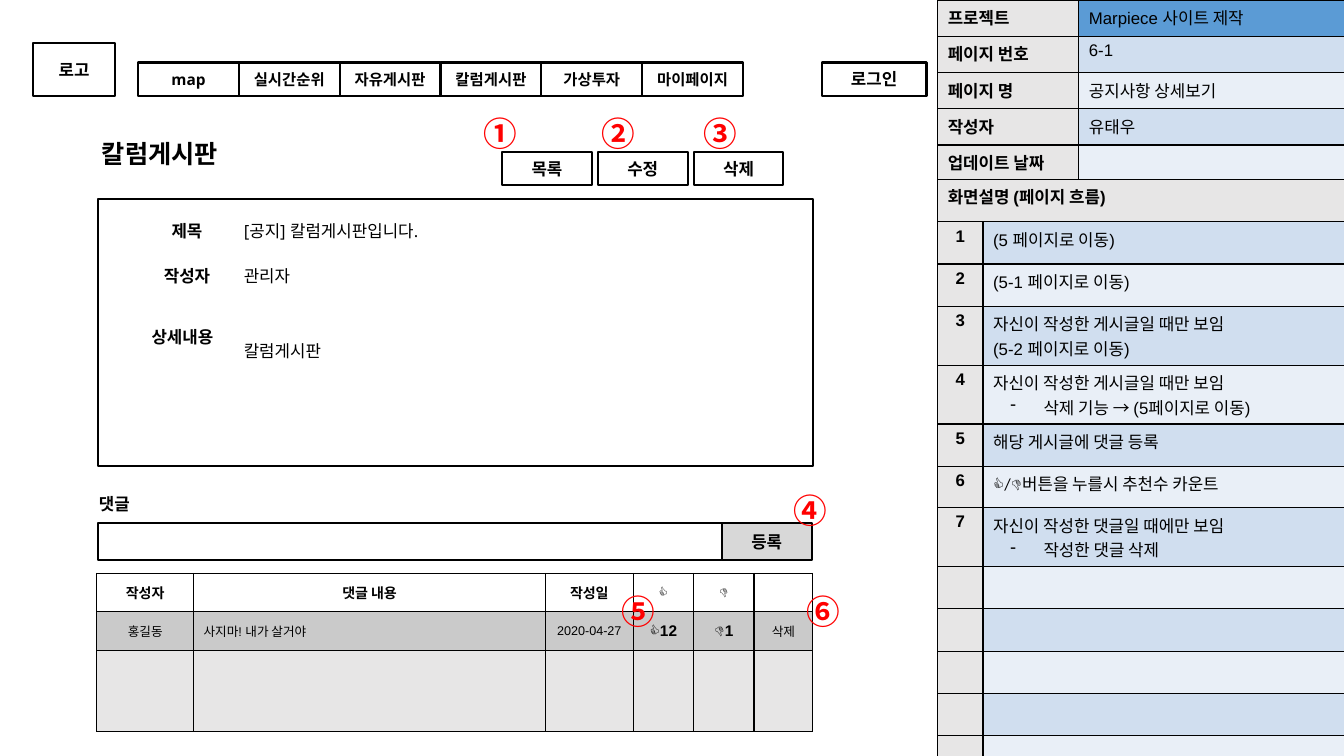
"""Build a wireframe slide of a column board page with its description panel."""
from dataclasses import dataclass

from lxml.etree import SubElement
from pptx import Presentation
from pptx.dml.color import RGBColor
from pptx.enum.shapes import MSO_SHAPE
from pptx.enum.text import MSO_ANCHOR, MSO_AUTO_SIZE, PP_ALIGN
from pptx.oxml.ns import qn
from pptx.util import Inches, Pt


@dataclass(frozen=True)
class Theme:
    ink: str = "000000"
    red: str = "FF0000"
    white: str = "FFFFFF"
    label: str = "E7E6E6"
    blue: str = "5B9BD5"
    bands: tuple = ("D0DEEF", "E9EFF7")
    button: str = "D8D8D8"
    reply: str = "CACACA"
    sans: str = "Open Sans"
    grid: str = "Arial"
    emoji: str = "Calibri"
    hangul: str = "Noto Sans CJK KR"
    title: int = 18
    body: int = 12
    menu: int = 11
    head: int = 10
    small: int = 9
    mark: int = 24


theme = Theme()
LEFT, MID = PP_ALIGN.LEFT, PP_ALIGN.CENTER


def write(frame, text, size=theme.body, bold=True, font=theme.sans, color=theme.ink, align=MID):
    for num, line in enumerate(text.split("\n")):
        par = frame.paragraphs[0] if num == 0 else frame.add_paragraph()
        par.alignment = align
        if line.startswith("- "):
            line = line[2:]
            props = par._p.get_or_add_pPr()
            props.set("marL", str(Inches(0.5)))
            props.set("indent", str(Inches(-0.33)))
            tint = SubElement(props, qn("a:buClr"))
            SubElement(tint, qn("a:srgbClr"), val=theme.ink)
            SubElement(props, qn("a:buChar"), char="-")
        if not line:
            SubElement(par._p, qn("a:endParaRPr"), sz="100")
            continue
        run = par.add_run()
        run.text = line
        run.font.size = Pt(size)
        run.font.bold = bold
        run.font.name = font
        run.font.color.rgb = RGBColor.from_string(color)
        SubElement(run._r.get_or_add_rPr(), qn("a:ea"), typeface=theme.hangul)


def dress(cell, fill, text="", **style):
    props = cell._tc.get_or_add_tcPr()
    for side in ("a:lnL", "a:lnR", "a:lnT", "a:lnB"):
        edge = SubElement(props, qn(side), w=str(Pt(1)))
        SubElement(SubElement(edge, qn("a:solidFill")), qn("a:srgbClr"), val=theme.ink)
    cell.fill.solid()
    cell.fill.fore_color.rgb = RGBColor.from_string(fill)
    write(cell.text_frame, text, **style)


deck = Presentation()
deck.slide_width, deck.slide_height = Inches(13.33), Inches(7.5)
slide = deck.slides.add_slide(deck.slide_layouts[5])
shapes = slide.shapes

title = shapes.title
title.left, title.top, title.width, title.height = map(Inches, (0.68, 1.34, 1.81, 0.37))
title.text_frame.auto_size = MSO_AUTO_SIZE.NONE
title.text_frame.vertical_anchor = MSO_ANCHOR.MIDDLE
write(title.text_frame, "칼럼게시판", theme.title)

facts = [
    ("프로젝트", "Marpiece 사이트 제작"),
    ("페이지 번호", "6-1"),
    ("페이지 명", "공지사항 상세보기"),
    ("작성자", "유태우"),
    ("업데이트 날짜", ""),
]
notes = [
    "(5 페이지로 이동)",
    "(5-1 페이지로 이동)",
    "자신이 작성한 게시글일 때만 보임\n(5-2 페이지로 이동)",
    "자신이 작성한 게시글일 때만 보임\n- 삭제 기능 → (5페이지로 이동)",
    "해당 게시글에 댓글 등록",
    "👍/👎버튼을 누를시 추천수 카운트",
    "자신이 작성한 댓글일 때에만 보임\n- 작성한 댓글 삭제",
] + [""] * 5
replies = [
    ["작성자", "댓글 내용", "작성일", "👍", "👎", ""],
    ["홍길동", "사지마! 내가 살거야", "2020-04-27", "👍12", "👎1", "삭제"],
] + [[""] * 6] * 3

tables = []
for left, top, cols, rows in [
    (9.3, 0, [1.4, 2.64], [0.36] * 5),
    (9.3, 1.78, [0.45, 3.59], [0.42] * 3 + [0.51] * 2 + [0.42, 0.41, 0.5] + [0.42] * 5),
    (0.96, 5.69, [0.96, 3.49, 0.87, 0.6, 0.6, 0.58], [0.38, 0.38, 0.34, 0.34, 0.13]),
]:
    place = map(Inches, (left, top, sum(cols), sum(rows)))
    table = shapes.add_table(len(rows), len(cols), *place).table
    for col, width in zip(table.columns, cols):
        col.width = Inches(width)
    for row, height in zip(table.rows, rows):
        row.height = Inches(height)
    tables.append(table)
info, flow, board = tables

for num, (name, value) in enumerate(facts):
    fill = theme.bands[(num + 1) % 2] if num else theme.blue
    dress(info.cell(num, 0), theme.label, name, font=theme.grid, align=LEFT)
    dress(info.cell(num, 1), fill, value, bold=False, font=theme.grid, align=LEFT)

dress(flow.cell(0, 0), theme.label, "화면설명 (페이지 흐름)", font=theme.grid, align=LEFT)
dress(flow.cell(0, 1), theme.label)
flow.cell(0, 0).merge(flow.cell(0, 1))
for num, note in enumerate(notes, 1):
    font = theme.emoji if "👍" in note else theme.grid
    fill = theme.bands[(num + 1) % 2] if num < 8 else theme.bands[(num + 1) % 2]
    dress(flow.cell(num, 0), theme.label, str(num) if note else "", font=theme.grid)
    dress(flow.cell(num, 1), fill, note, bold=False, font=font, align=LEFT)

fills = [theme.white, theme.reply] + [theme.label] * 3
for down, (line, fill) in enumerate(zip(replies, fills)):
    for across, text in enumerate(line):
        vote = down == 1 and across in (3, 4)
        size = theme.head if down == 0 else theme.menu if vote else theme.small
        align = LEFT if (down, across) == (1, 1) else MID
        cell = board.cell(down, across)
        cell.vertical_anchor = MSO_ANCHOR.MIDDLE
        dress(cell, fill, text, size=size, bold=down == 0 or vote, font=theme.grid, align=align)
for across in range(6):
    board.cell(2, across).merge(board.cell(4, across))

boxes = [
    ("", 0.97, 1.97, 7.09, 2.65, theme.body),
    ("", 0.97, 5.19, 6.19, 0.37, theme.body),
    ("등록", 7.16, 5.19, 0.89, 0.37, theme.body),
    ("로고", 0.33, 0.43, 0.81, 0.52, theme.body),
    ("로그인", 8.15, 0.62, 1.04, 0.33, theme.body),
]
menu = ["map", "실시간순위", "자유게시판", "칼럼게시판", "가상투자", "마이페이지"]
boxes += [(name, 1.37 + num, 0.62, 1, 0.33, theme.menu) for num, name in enumerate(menu)]
tools = ["목록", "수정", "삭제"]
boxes += [(name, 4.98 + 0.95 * num, 1.51, 0.89, 0.33, theme.body) for num, name in enumerate(tools)]
for text, left, top, width, height, size in boxes:
    box = shapes.add_shape(MSO_SHAPE.RECTANGLE, *map(Inches, (left, top, width, height)))
    box.shadow.inherit = False
    box.line.color.rgb = RGBColor.from_string(theme.ink)
    box.line.width = Pt(1.5)
    box.fill.background()
    if text == "등록":
        box.fill.solid()
        box.fill.fore_color.rgb = RGBColor.from_string(theme.button)
    box.text_frame.vertical_anchor = MSO_ANCHOR.MIDDLE
    write(box.text_frame, text, size)

for text, left, top, width, bold in [
    ("제목", 1.44, 2.11, 0.83, True),
    ("작성자", 1.44, 2.55, 0.83, True),
    ("상세내용", 1.29, 3.16, 1.04, True),
    ("댓글", 0.73, 4.81, 0.81, True),
    ("[공지] 칼럼게시판입니다.", 2.32, 2.11, 4.66, False),
    ("관리자", 2.32, 2.55, 4.66, False),
    ("칼럼게시판", 2.32, 3.18, 4.67, False),
]:
    tall = text == "칼럼게시판"
    size = map(Inches, (left, top, width, 1.24 if tall else 0.37))
    frame = shapes.add_textbox(*size).text_frame
    frame.word_wrap = True
    frame.margin_top = frame.margin_bottom = Inches(0.1)
    frame.vertical_anchor = MSO_ANCHOR.TOP if tall else MSO_ANCHOR.MIDDLE
    write(frame, text, bold=bold, align=MID if bold else LEFT)
    if tall:
        frame.paragraphs[0].line_spacing = 1.5

spots = [(4.7, 1.07), (5.87, 1.07), (6.88, 1.07), (7.77, 4.81), (6.07, 5.81), (7.9, 5.81)]
for sign, (left, top) in zip("①②③④⑤⑥", spots):
    frame = shapes.add_textbox(*map(Inches, (left, top, 0.6, 0.5))).text_frame
    frame.word_wrap = True
    write(frame, sign, theme.mark, font=theme.hangul, color=theme.red, align=LEFT)

deck.save("out.pptx")
